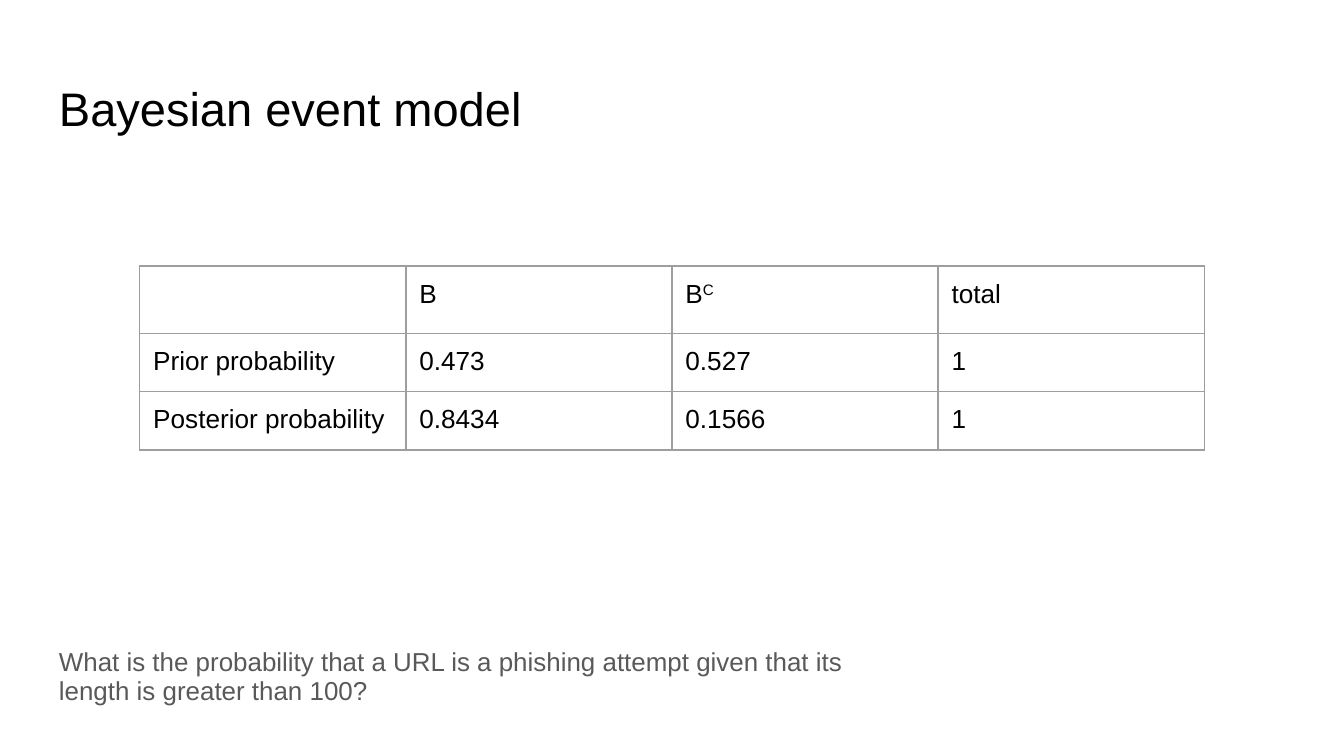
from lxml import etree
from pptx import Presentation
from pptx.dml.color import RGBColor
from pptx.enum.text import MSO_ANCHOR
from pptx.oxml.ns import qn
from pptx.util import Inches, Pt

MIDDLE = MSO_ANCHOR.MIDDLE
FONT = "Arial"
COLORS = {"text": "000000", "muted": "595959", "border": "9E9E9E"}
INSET = Inches(0.1)
TABLE_ROWS = [
    [[], ["B"], ["B", "C"], ["total"]],
    [["Prior probability"], ["0.473"], ["0.527"], ["1"]],
    [["Posterior probability"], ["0.8434"], ["0.1566"], ["1"]],
]


def add_run(p, text, size, color):
    """Append a formatted run to a paragraph."""
    r = p.add_run()
    r.text = text
    r.font.name = FONT
    r.font.size = Pt(size)
    r.font.color.rgb = RGBColor.from_string(COLORS[color])
    return r


def set_insets(box):
    """Give a text frame or table cell equal margins."""
    box.margin_left = box.margin_right = INSET
    box.margin_top = box.margin_bottom = INSET


def add_text(s, left, top, width, height, text, size, color):
    """Add a wrapped text box and return its paragraph."""
    sp = s.shapes.add_textbox(Inches(left), Inches(top), Inches(width), Inches(height))
    tf = sp.text_frame
    tf.word_wrap = True
    tf.vertical_anchor = MIDDLE
    set_insets(tf)
    p = tf.paragraphs[0]
    add_run(p, text, size, color)
    return p


def set_borders(cell):
    """Draw a thin line on all four sides of a cell."""
    tc_pr = cell._tc.get_or_add_tcPr()
    for i, side in enumerate(("a:lnL", "a:lnR", "a:lnT", "a:lnB")):
        ln = etree.Element(qn(side), w=str(Pt(0.75)))
        fill = etree.SubElement(ln, qn("a:solidFill"))
        etree.SubElement(fill, qn("a:srgbClr"), val=COLORS["border"])
        tc_pr.insert(i, ln)


def fill_cell(cell, texts):
    """Write the base text and an optional superscript into a cell."""
    cell.fill.background()
    set_borders(cell)
    set_insets(cell)
    p = cell.text_frame.paragraphs[0]
    for i, text in enumerate(texts):
        r = add_run(p, text, 14, "text")
        if i:
            r.font._element.set("baseline", "30000")


def add_probability_table(s, left, top, frame_size, col_width, row_height):
    """Add the table of prior and posterior probabilities."""
    side = Inches(frame_size)
    frame = s.shapes.add_table(
        len(TABLE_ROWS), len(TABLE_ROWS[0]), Inches(left), Inches(top), side, side)
    table = frame.table
    table.first_row = table.horz_banding = False
    for col in table.columns:
        col.width = Inches(col_width)
    for row, values in zip(table.rows, TABLE_ROWS):
        row.height = Inches(row_height)
        for cell, texts in zip(row.cells, values):
            fill_cell(cell, texts)
    frame.width = frame.height = side


def main():
    """Build and save the slide."""
    prs = Presentation()
    prs.slide_width, prs.slide_height = Inches(10), Inches(10 * 9 / 16)
    s = prs.slides.add_slide(prs.slide_layouts[6])
    add_text(s, 0.34, 0.49, 9.32, 0.63, "Bayesian event model", 25.2, "text")
    add_probability_table(s, 1.04, 1.98, 3.28, 1.98, 0.42)
    p = add_text(
        s, 0.34, 4.71, 6.56, 0.66,
        "What is the probability that a URL is a phishing attempt given that its "
        "length is greater than 100?", 13.9, "muted")
    p.line_spacing = 0.95
    p.space_after = Pt(12)
    prs.save("out.pptx")


if __name__ == "__main__":
    main()
